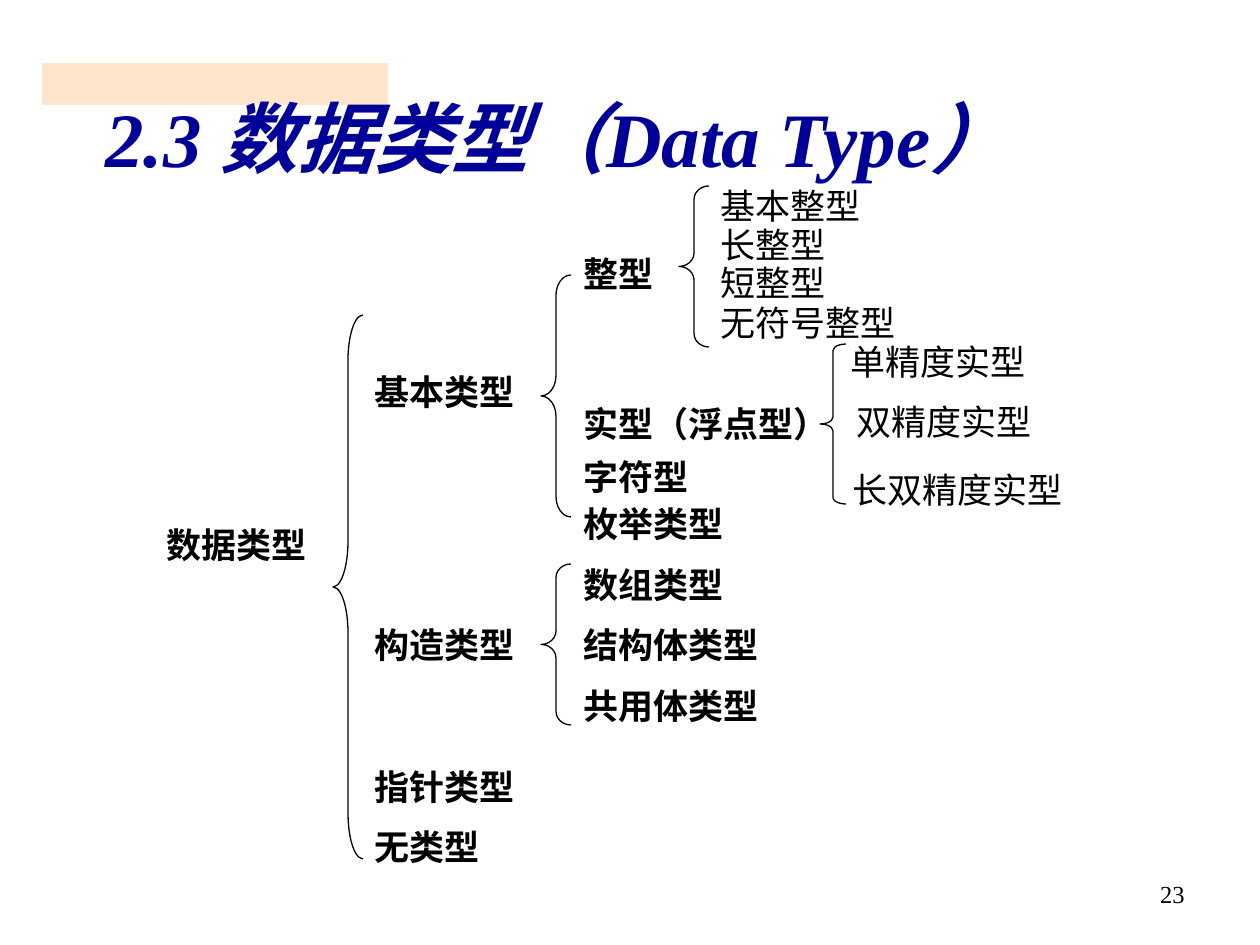
from dataclasses import dataclass

from lxml import etree
from pptx import Presentation
from pptx.dml.color import RGBColor
from pptx.enum.shapes import MSO_SHAPE
from pptx.enum.text import MSO_ANCHOR, PP_ALIGN
from pptx.oxml.ns import qn
from pptx.util import Emu, Pt

RECT, BRACE = MSO_SHAPE.RECTANGLE, MSO_SHAPE.LEFT_BRACE
LEFT, RIGHT, JUST = PP_ALIGN.LEFT, PP_ALIGN.RIGHT, PP_ALIGN.JUSTIFY
TOP, MIDDLE = MSO_ANCHOR.TOP, MSO_ANCHOR.MIDDLE

SCALE = 914400 / 126  # EMU in one px
ROW = 60  # height of a label


@dataclass(frozen=True)
class Theme:
    font: str = "Times New Roman"
    ink: str = "000000"
    navy: str = "000099"
    peach: str = "FFCC99"
    head: int = 44
    body: int = 20
    foot: int = 14
    line: float = 0.75


@dataclass(frozen=True)
class Label:
    text: str
    x: int
    y: int
    w: int = 208
    bold: bool = True


@dataclass(frozen=True)
class Brace:
    x: int
    y: int
    h: int
    w: int = 30
    ratio: int = 12  # height of the brace over height of one curve


THEME = Theme()

LABELS = [
    Label("数据类型", 154, 517),
    Label("基本类型", 362, 364),
    Label("构造类型", 362, 617),
    Label("指针类型", 362, 759),
    Label("无类型", 362, 819),
    Label("整型", 571, 246),
    Label("实型（浮点型）", 571, 396, 297),
    Label("字符型", 571, 449),
    Label("枚举类型", 571, 496),
    Label("数组类型", 571, 557),
    Label("结构体类型", 571, 617, 238),
    Label("共用体类型", 571, 678, 268),
    Label("基本整型", 708, 178, bold=False),
    Label("长整型", 708, 217, bold=False),
    Label("短整型", 708, 255, bold=False),
    Label("无符号整型", 708, 295, 297, False),
    Label("单精度实型", 838, 334, 268, False),
    Label("双精度实型", 844, 394, 268, False),
    Label("长双精度实型", 840, 462, 268, False),
]

BRACES = [
    Brace(333, 315, 544),
    Brace(541, 275, 242),
    Brace(679, 186, 161),
    Brace(820, 344, 160, 26, 24),
    Brace(541, 564, 161),
]


def px(*nums: int) -> list[Emu]:
    return [Emu(round(n * SCALE)) for n in nums]


def write(slide, text: str, x: int, y: int, w: int, h: int, *,
          size: int = THEME.body, color: str = THEME.ink,
          bold: bool = False, slant: bool = False, shade: bool = False,
          align=LEFT, anchor=TOP, lead: float = 1.0) -> None:
    box = slide.shapes.add_textbox(*px(x, y, w, h))
    frame = box.text_frame
    frame.word_wrap = True
    frame.vertical_anchor = anchor
    para = frame.paragraphs[0]
    para.alignment = align
    para.line_spacing = lead
    run = para.add_run()
    run.text = text
    font = run.font
    font.name, font.size = THEME.font, Pt(size)
    font.bold, font.italic = bold, slant
    font.color.rgb = RGBColor.from_string(color)
    if shade:
        cast(box)


def cast(box) -> None:
    """Put a black shadow behind the letters of a box."""
    fill = box.element.find(f".//{qn('a:rPr')}/{qn('a:solidFill')}")
    group = etree.Element(qn("a:effectLst"))
    drop = etree.SubElement(group, qn("a:outerShdw"),
                            dist="38100", dir="2700000", algn="tl")
    etree.SubElement(drop, qn("a:srgbClr"), val=THEME.ink)
    fill.addnext(group)


def band(slide) -> None:
    """Draw the half clear bar behind the title."""
    bar = slide.shapes.add_shape(RECT, *px(42, 63, 346, 42))
    bar.shadow.inherit = False
    bar.line.fill.background()
    bar.fill.solid()
    bar.fill.fore_color.rgb = RGBColor.from_string(THEME.peach)
    tint = bar.element.spPr.find(".//" + qn("a:srgbClr"))
    etree.SubElement(tint, qn("a:alpha"), val="50000")


def draw(slide, item: Brace) -> None:
    brace = slide.shapes.add_shape(
        BRACE, *px(item.x, item.y, item.w, item.h))
    brace.adjustments[0] = item.h / item.ratio / item.w
    brace.shadow.inherit = False
    brace.fill.background()
    brace.line.color.rgb = RGBColor.from_string(THEME.ink)
    brace.line.width = Pt(THEME.line)


def main() -> None:
    deck = Presentation()
    deck.slide_width, deck.slide_height = px(1260, 945)
    slide = deck.slides.add_slide(deck.slide_layouts[6])
    band(slide)
    write(slide, "23", 903, 873, 294, 66, size=THEME.foot, align=RIGHT)
    write(slide, "2.3 数据类型（Data Type）", 93, 86, 1075, 116,
          size=THEME.head, color=THEME.navy, bold=True, slant=True,
          shade=True, anchor=MIDDLE, lead=0.85)
    for item in LABELS:
        write(slide, item.text, item.x, item.y, item.w, ROW,
              bold=item.bold, align=JUST)
    for item in BRACES:
        draw(slide, item)
    deck.save("out.pptx")


if __name__ == "__main__":
    main()
